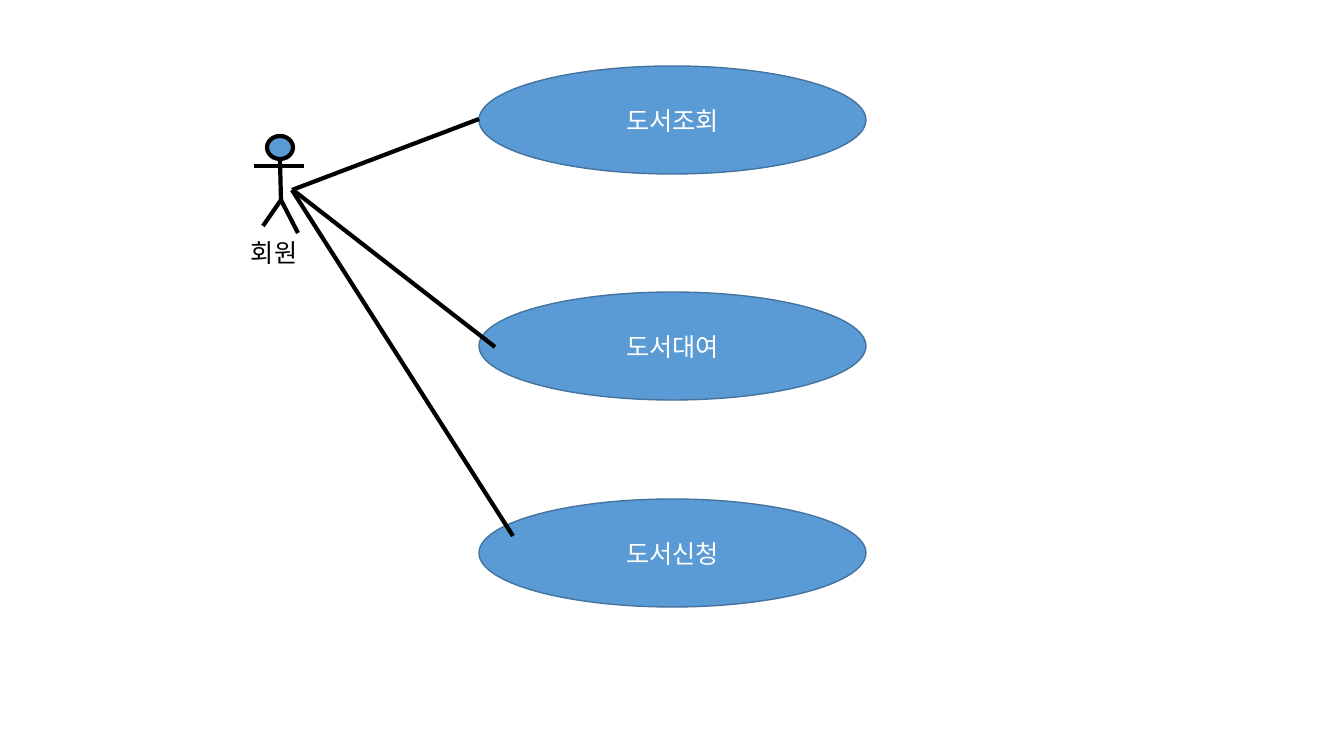
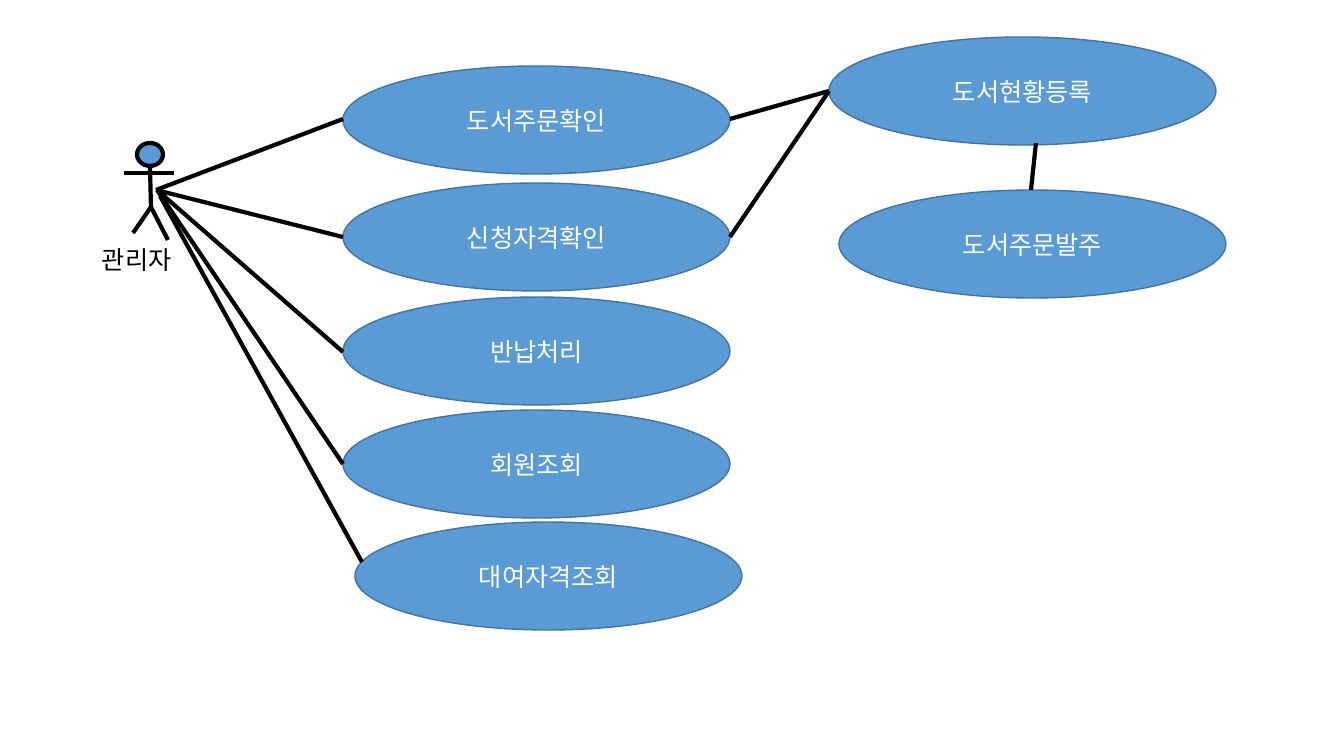
from lxml.etree import SubElement
from pptx import Presentation
from pptx.dml.color import RGBColor
from pptx.enum.shapes import MSO_CONNECTOR, MSO_SHAPE
from pptx.enum.text import MSO_ANCHOR, PP_ALIGN
from pptx.oxml.ns import qn
from pptx.util import Pt

EMU_PER_PIXEL = 914400 / 100.8
COLORS = {name: RGBColor.from_string(value) for name, value in {
    "fill": "5B9BD5", "edge": "43739E", "ink": "000000", "white": "FFFFFF"}.items()}
FONT = "Noto Sans CJK KR"
OVAL_SIZE = (387, 108)
HEAD_SIZE = (26, 23)
# Limbs as offsets from the top left of the head: x1, y1, x2, y2.
LIMBS = [(14, 64, 31, 97), (-4, 90, 14, 64), (-13, 30, 37, 30), (14, 64, 13, 23)]
LABEL_DROP = 96

PAGES = [
    {
        "ovals": [("도서조회", 479, 66), ("도서대여", 479, 292), ("도서신청", 479, 499)],
        "head": (267, 136),
        "label": ("회원", 241, 77),
        "links": [(479, 119, 292, 190), (513, 536, 292, 190), (495, 347, 293, 190)],
    },
    {
        "ovals": [("도서주문확인", 343, 66), ("신청자격확인", 343, 183),
                  ("반납처리", 343, 297), ("회원조회", 343, 410),
                  ("대여자격조회", 355, 522), ("도서현황등록", 829, 37),
                  ("도서주문발주", 839, 190)],
        "head": (137, 143),
        "label": ("관리자", 92, 104),
        "links": [(343, 119, 156, 190), (343, 237, 160, 191), (343, 352, 157, 190),
                  (343, 464, 157, 190), (362, 562, 160, 196), (829, 91, 730, 119),
                  (829, 91, 730, 237), (1036, 143, 1031, 190)],
    },
]


def add_box(page, left, top, width, height, text="", oval=True,
            edge="edge", weight=1, color="white"):
    """Add an oval or a plain text box, with its text, measured in pixels."""
    place = [round(value * EMU_PER_PIXEL) for value in (left, top, width, height)]
    if oval:
        box = page.shapes.add_shape(MSO_SHAPE.OVAL, *place)
        box.shadow.inherit = False
        box.fill.solid()
        box.fill.fore_color.rgb = COLORS["fill"]
        box.line.color.rgb = COLORS[edge]
        box.line.width = Pt(weight)
    else:
        box = page.shapes.add_textbox(*place)
    if text:
        frame = box.text_frame
        frame.word_wrap = True
        frame.vertical_anchor = MSO_ANCHOR.MIDDLE if oval else MSO_ANCHOR.TOP
        para = frame.paragraphs[0]
        para.alignment = PP_ALIGN.CENTER if oval else PP_ALIGN.LEFT
        span = para.add_run()
        span.text = text
        span.font.size = Pt(18)
        span.font.name = FONT
        span.font.color.rgb = COLORS[color]
        properties = span.font._element
        SubElement(properties, qn("a:ea")).set("typeface", FONT)


def add_line(shapes, *ends):
    """Add a thick black line between two points given in pixels."""
    line = shapes.add_connector(
        MSO_CONNECTOR.STRAIGHT, *[round(value * EMU_PER_PIXEL) for value in ends])
    line.line.color.rgb = COLORS["ink"]
    line.line.width = Pt(3)
    SubElement(line._element.spPr, qn("a:effectLst"))


deck = Presentation()
deck.slide_width = round(1344 * EMU_PER_PIXEL)
deck.slide_height = round(756 * EMU_PER_PIXEL)

for content in PAGES:
    page = deck.slides.add_slide(deck.slide_layouts[6])
    for text, left, top in content["ovals"]:
        add_box(page, left, top, *OVAL_SIZE, text=text)

    head_left, head_top = content["head"]
    add_box(page, head_left, head_top, *HEAD_SIZE, edge="ink", weight=3)
    for x1, y1, x2, y2 in LIMBS:
        add_line(page.shapes, head_left + x1, head_top + y1,
                 head_left + x2, head_top + y2)
    name, left, width = content["label"]
    add_box(page, left, head_top + LABEL_DROP, width, 40, text=name,
            oval=False, color="ink")

    for link in content["links"]:
        add_line(page.shapes, *link)

deck.save("out.pptx")
